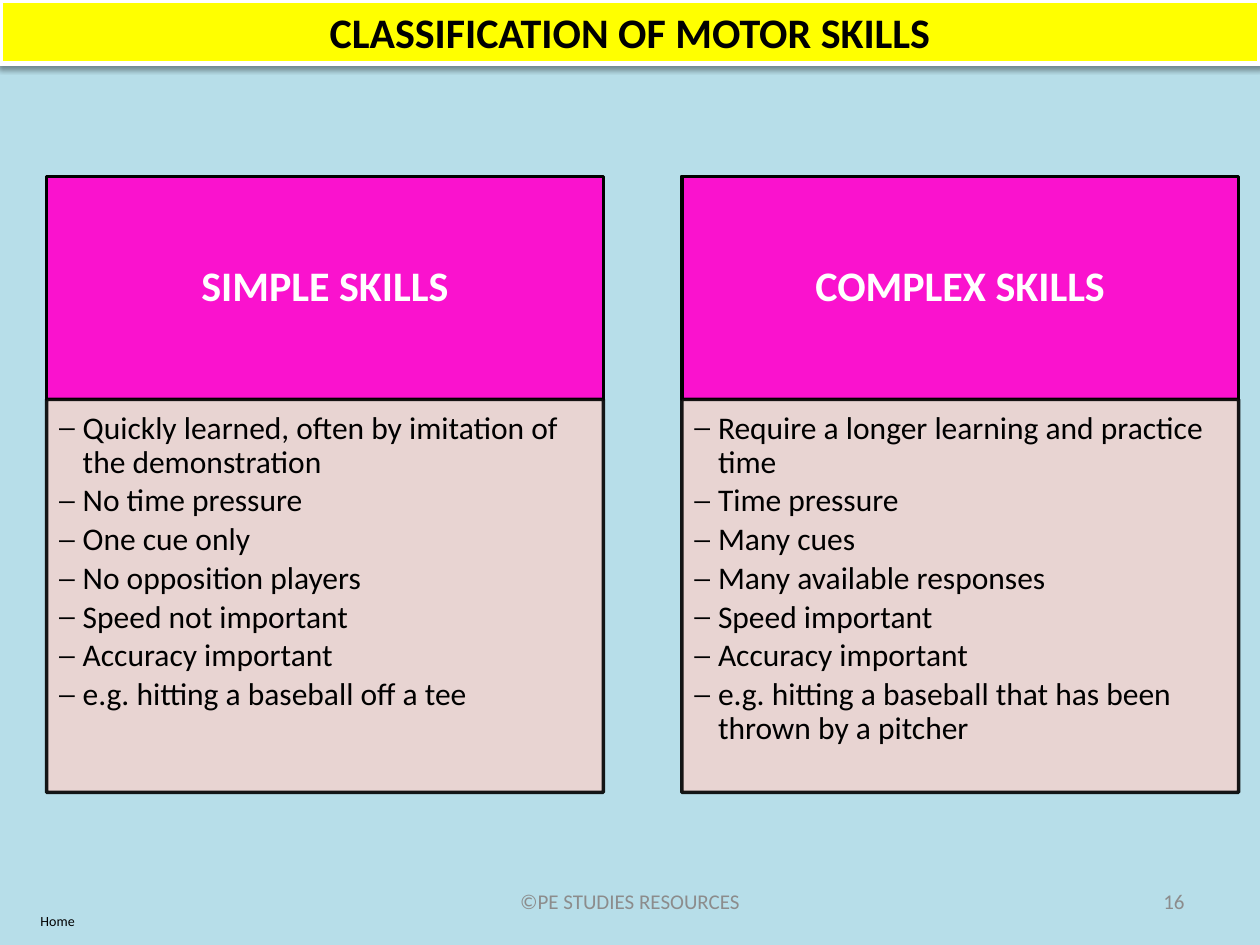
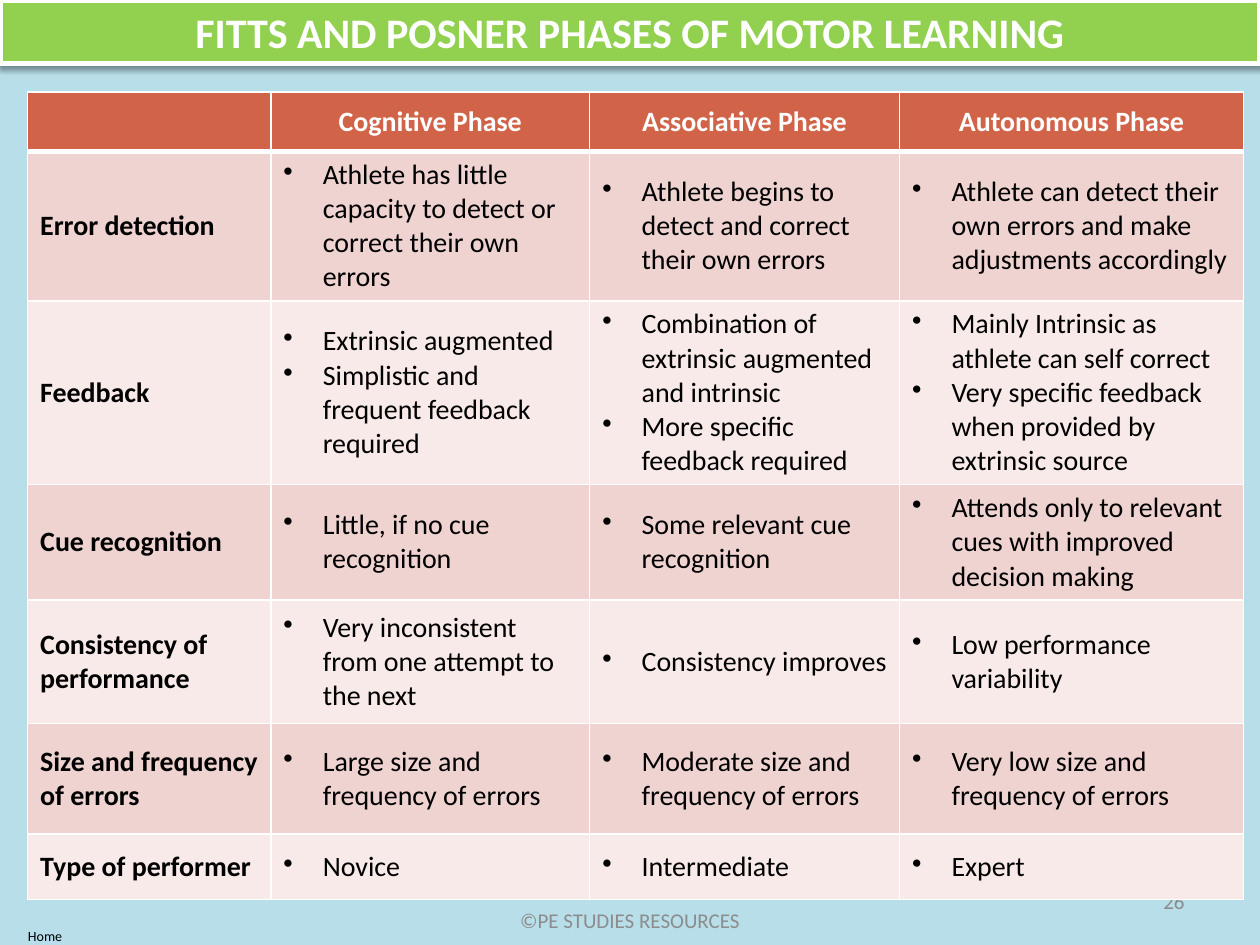
"""Builds two slides on motor skills: simple against complex, and the phases of learning."""
import pptx
import pptx.dml.color
import pptx.enum.text
import pptx.oxml
import pptx.oxml.ns
import pptx.util

Pt = pptx.util.Pt
Color = pptx.dml.color.RGBColor
ALIGN = pptx.enum.text.PP_ALIGN
ANCHOR = pptx.enum.text.MSO_ANCHOR
qn = pptx.oxml.ns.qn

FONT = "Calibri"
SKY = Color(0xB7, 0xDE, 0xE9)
YELLOW = Color(0xFF, 0xFF, 0x00)
GREEN = Color(0x92, 0xD0, 0x50)
MAGENTA = Color(0xFA, 0x12, 0xCE)
RUST = Color(0xD1, 0x63, 0x49)
ROSE = Color(0xEE, 0xD3, 0xD0)
PALE_ROSE = Color(0xF7, 0xEA, 0xE9)
GREY = Color(0x8C, 0x8C, 0x8C)
BLACK = Color(0, 0, 0)
WHITE = Color(0xFF, 0xFF, 0xFF)

FOOTER = "©PE STUDIES RESOURCES"
SKILLS_TITLE = "CLASSIFICATION OF MOTOR SKILLS"
PHASES_TITLE = "FITTS AND POSNER PHASES OF MOTOR LEARNING"

SKILLS = [
    ("SIMPLE SKILLS", [
        "Quickly learned, often by imitation of the demonstration",
        "No time pressure",
        "One cue only",
        "No opposition players",
        "Speed not important",
        "Accuracy important",
        "e.g. hitting a baseball off a tee",
    ]),
    ("COMPLEX SKILLS", [
        "Require a longer learning and practice time",
        "Time pressure",
        "Many cues",
        "Many available responses",
        "Speed important",
        "Accuracy important",
        "e.g. hitting a baseball that has been thrown by a pitcher",
    ]),
]

PHASES = ["Cognitive Phase", "Associative Phase", "Autonomous Phase"]
ASPECTS = [
    ("Error detection", [
        ["Athlete has little capacity to detect or correct their own errors"],
        ["Athlete begins to detect and correct their own errors"],
        ["Athlete can detect their own errors and make adjustments accordingly"],
    ]),
    ("Feedback", [
        ["Extrinsic augmented", "Simplistic and frequent feedback required"],
        ["Combination of extrinsic augmented and intrinsic",
         "More specific feedback required"],
        ["Mainly Intrinsic as athlete can self correct",
         "Very specific feedback when provided by extrinsic source"],
    ]),
    ("Cue recognition", [
        ["Little, if no cue recognition"],
        ["Some relevant cue recognition"],
        ["Attends only to relevant cues with improved decision making"],
    ]),
    ("Consistency of performance", [
        ["Very inconsistent from one attempt to the next"],
        ["Consistency improves"],
        ["Low performance variability"],
    ]),
    ("Size and frequency of errors", [
        ["Large size and frequency of errors"],
        ["Moderate size and frequency of errors"],
        ["Very low size and frequency of errors"],
    ]),
    ("Type of performer", [["Novice"], ["Intermediate"], ["Expert"]]),
]

COLUMN_WIDTHS = [139, 182.2, 177.1, 196.6]
ROW_HEIGHTS = [33.8, 85, 105, 66, 70.5, 63.3, 37.4]
PANEL_LEFT, PANEL_TOP, PANEL_WIDTH, PANEL_PITCH = 26.6, 100.8, 318.2, 363
HEAD_HEIGHT, LIST_HEIGHT = 127.4, 224.6


def place(shape, left, top, width, height):
    shape.left, shape.top, shape.width, shape.height = map(Pt, (left, top, width, height))


def paint(shape, fill, line, weight):
    shape.fill.solid()
    shape.fill.fore_color.rgb = fill
    shape.line.color.rgb = line
    shape.line.width = Pt(weight)


def write(frame, lines, size, color, bold=False, align=ALIGN.LEFT,
          bullet=None, indent=0, spacing=None, after=0):
    for number, line in enumerate(lines):
        para = frame.add_paragraph() if number else frame.paragraphs[0]
        if bullet:
            props = para._p.get_or_add_pPr()
            props.set("marL", str(Pt(indent)))
            props.set("indent", str(-Pt(indent)))
            mark = pptx.oxml.parse_xml(f'<a:buChar {pptx.oxml.ns.nsdecls("a")}/>')
            mark.set("char", bullet)
            props.append(mark)
        para.alignment = align
        para.space_before = Pt(0)
        para.space_after = Pt(after)
        if spacing:
            para.line_spacing = spacing
        span = para.add_run()
        span.text = line
        span.font.name = FONT
        span.font.size = Pt(size)
        span.font.bold = bold
        span.font.color.rgb = color


def set_frame(frame, anchor, insets):
    frame.word_wrap = True
    frame.auto_size = pptx.enum.text.MSO_AUTO_SIZE.NONE
    frame.vertical_anchor = anchor
    (frame.margin_left, frame.margin_top,
     frame.margin_right, frame.margin_bottom) = map(Pt, insets)


def add_label(page, text, bounds, size, color, align):
    box = page.shapes.add_textbox(0, 0, 0, 0)
    place(box, *bounds)
    set_frame(box.text_frame, ANCHOR.MIDDLE, (7.2, 3.6, 7.2, 3.6))
    write(box.text_frame, [text], size, color, align=align)


def add_page(deck, layout, title, band, title_color, number, footer_top, home):
    page = deck.slides.add_slide(deck.slide_layouts.get_by_name(layout))
    page.background.fill.solid()
    page.background.fill.fore_color.rgb = SKY
    banner = page.shapes.title
    place(banner, 0, 0, 720, 36.4)
    paint(banner, band, WHITE, 3)
    banner.element.spPr.append(pptx.oxml.parse_xml(
        f'<a:effectLst {pptx.oxml.ns.nsdecls("a")}>'
        f'<a:outerShdw blurRad="{Pt(3.1)}" dist="{Pt(1.6)}" dir="5400000" rotWithShape="0">'
        '<a:srgbClr val="000000"><a:alpha val="38000"/></a:srgbClr>'
        '</a:outerShdw></a:effectLst>'))
    set_frame(banner.text_frame, ANCHOR.MIDDLE, (7.2, 3.6, 7.2, 3.6))
    write(banner.text_frame, [title], 24, title_color, True, ALIGN.CENTER)
    add_label(page, number, (516, 500.5, 168, 28.8), 12, GREY, ALIGN.RIGHT)
    add_label(page, FOOTER, (246, footer_top, 228, 28.8), 12, GREY, ALIGN.CENTER)
    add_label(page, "Home", (*home, 66, 17), 8, BLACK, ALIGN.CENTER)
    return page


def fade(shape, percent):
    for color in shape.element.spPr.iter(qn("a:srgbClr")):
        alpha = color.makeelement(qn("a:alpha"), {"val": str(percent * 1000)})
        color.append(alpha)


def fill_panels(page):
    bodies = [item for item in page.placeholders if item.placeholder_format.idx]
    for number, (heading, points) in enumerate(SKILLS):
        head, listing = bodies[2 * number:2 * number + 2]
        left = PANEL_LEFT + number * PANEL_PITCH
        place(head, left, PANEL_TOP, PANEL_WIDTH, HEAD_HEIGHT)
        paint(head, MAGENTA, BLACK, 2)
        set_frame(head.text_frame, ANCHOR.MIDDLE, (13.7, 7.9, 13.7, 7.9))
        write(head.text_frame, [heading], 24, WHITE, True, ALIGN.CENTER, spacing=0.9)
        place(listing, left, PANEL_TOP + HEAD_HEIGHT, PANEL_WIDTH, LIST_HEIGHT)
        paint(listing, ROSE, BLACK, 2)
        fade(listing, 90)
        set_frame(listing.text_frame, ANCHOR.TOP, (7.2, 7.2, 10.1, 11.5))
        write(listing.text_frame, points, 18, BLACK, bullet="⎯", indent=13.5,
              spacing=0.9, after=2.7)


def set_borders(cell, row):
    weights = {"lnL": 1, "lnR": 1, "lnT": 3 if row == 1 else 1, "lnB": 3 if row == 0 else 1}
    for place_in_order, (side, weight) in enumerate(weights.items()):
        cell._tc.get_or_add_tcPr().insert(place_in_order, pptx.oxml.parse_xml(
            f'<a:{side} {pptx.oxml.ns.nsdecls("a")} w="{Pt(weight)}">'
            f'<a:solidFill><a:srgbClr val="{WHITE}"/></a:solidFill></a:{side}>'))


def add_phase_table(page):
    frame = page.shapes.add_table(len(ROW_HEIGHTS), len(COLUMN_WIDTHS), Pt(15.8), Pt(52.6),
                                  Pt(sum(COLUMN_WIDTHS)), Pt(sum(ROW_HEIGHTS)))
    table = frame.table
    for column, width in zip(table.columns, COLUMN_WIDTHS):
        column.width = Pt(width)
    for row, height in zip(table.rows, ROW_HEIGHTS):
        row.height = Pt(height)
    for number, phase in enumerate(PHASES, 1):
        write(table.cell(0, number).text_frame, [phase], 16, WHITE, True, ALIGN.CENTER)
    for row, (aspect, answers) in enumerate(ASPECTS, 1):
        write(table.cell(row, 0).text_frame, [aspect], 16, BLACK, True)
        for column, points in enumerate(answers, 1):
            write(table.cell(row, column).text_frame, points, 16, BLACK,
                  bullet="•", indent=22.5)
    for row in range(len(ROW_HEIGHTS)):
        for column in range(len(COLUMN_WIDTHS)):
            cell = table.cell(row, column)
            cell.vertical_anchor = ANCHOR.MIDDLE
            cell.fill.solid()
            cell.fill.fore_color.rgb = RUST if row == 0 else ROSE if row % 2 else PALE_ROSE
            set_borders(cell, row)


def main():
    deck = pptx.Presentation()
    deck.slide_width, deck.slide_height = Pt(720), Pt(540)
    fill_panels(add_page(deck, "Comparison", SKILLS_TITLE, YELLOW, BLACK,
                         "16", 500.5, (0, 517.5)))
    add_phase_table(add_page(deck, "Title Only", PHASES_TITLE, GREEN, WHITE,
                             "26", 511.2, (-7.2, 526.2)))
    deck.save("out.pptx")


if __name__ == "__main__":
    main()
